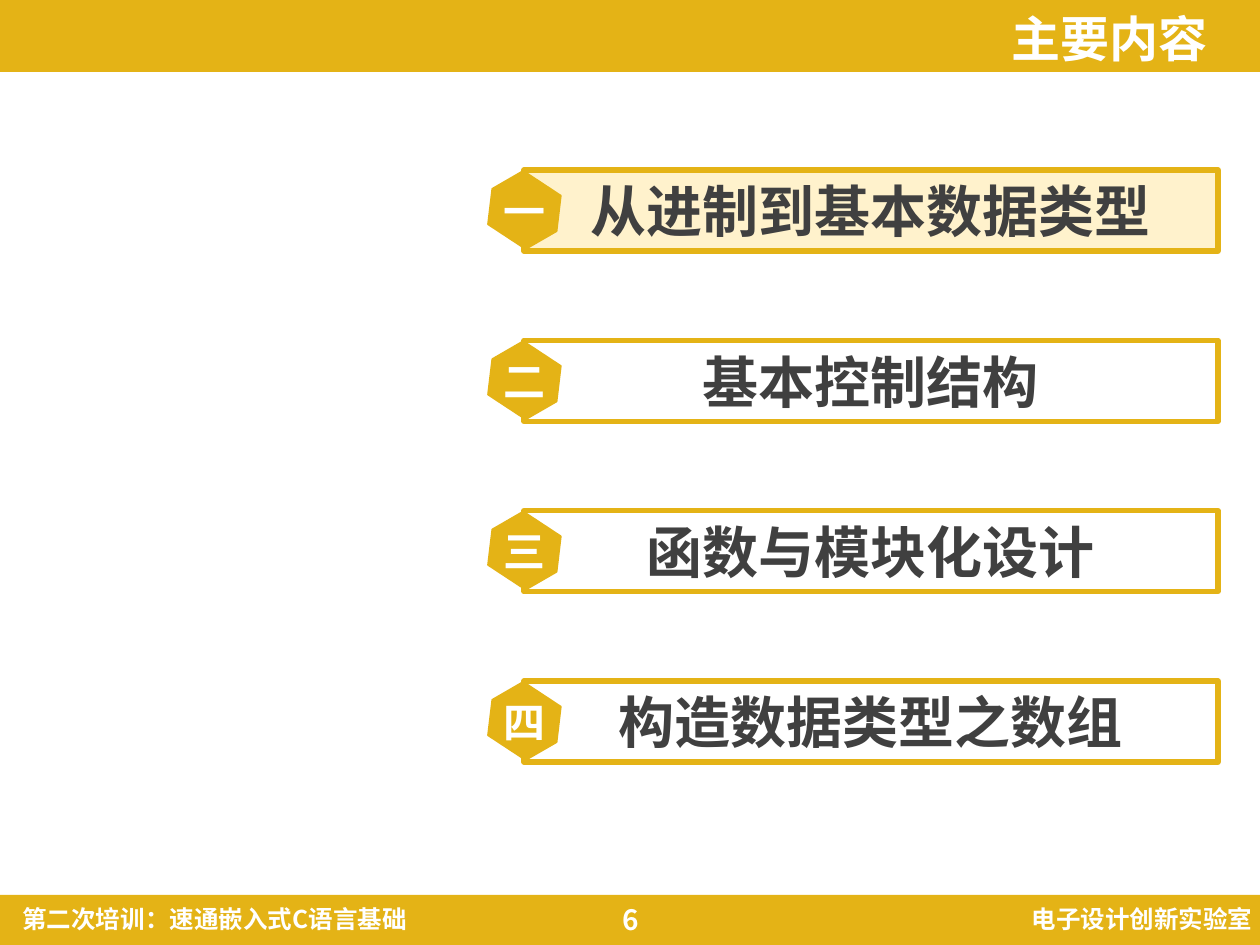
from lxml.etree import SubElement
from pptx import Presentation
from pptx.dml.color import RGBColor
from pptx.enum.shapes import MSO_SHAPE
from pptx.enum.text import MSO_ANCHOR, PP_ALIGN
from pptx.oxml.ns import qn
from pptx.util import Emu, Pt

COLORS = {"gold": "E4B316", "cream": "FFF2CC", "white": "FFFFFF", "dark": "404040"}
FONT = "Noto Sans CJK SC"
TOPICS = [
    ("一", "从进制到基本数据类型"),
    ("二", "基本控制结构"),
    ("三", "函数与模块化设计"),
    ("四", "构造数据类型之数组"),
]
CURRENT_TOPIC = 0
ROW_HEIGHT = 81


def px(length):
    return Emu(round(length * 914400 / 126))


def color(name):
    return RGBColor.from_string(COLORS[name])


def write(shape, text, size, color_name, align):
    frame = shape.text_frame
    frame.word_wrap = True
    frame.vertical_anchor = MSO_ANCHOR.MIDDLE
    frame.margin_top = frame.margin_bottom = 0
    paragraph = frame.paragraphs[0]
    paragraph.text = text
    paragraph.alignment = align
    font = paragraph.font
    font.name, font.size, font.bold = FONT, Pt(size), True
    font.color.rgb = color(color_name)
    # East Asian typeface, which python-pptx does not set
    SubElement(font._element, qn("a:ea"), typeface=FONT)


def add_text(shapes, left, top, width, height, text, size, align):
    box = shapes.add_textbox(px(left), px(top), px(width), px(height))
    write(box, text, size, "white", align)


def add_block(shapes, kind, left, top, width, height, fill, line_width=0):
    shape = shapes.add_shape(kind, px(left), px(top), px(width), px(height))
    shape.shadow.inherit = False
    if fill:
        shape.fill.solid()
        shape.fill.fore_color.rgb = color(fill)
    else:
        shape.fill.background()
    if line_width:
        shape.line.color.rgb = color("gold")
        shape.line.width = Pt(line_width)
    else:
        shape.line.fill.background()
    return shape


def add_header(slide, left, top, width, height):
    add_block(slide.shapes, MSO_SHAPE.RECTANGLE, left, top, width, height, "gold")
    add_text(slide.shapes, left + 553, top + 9, 667, 58, "主要内容", 28, PP_ALIGN.RIGHT)


def add_footer(slide, left, top, width, height):
    add_block(slide.shapes, MSO_SHAPE.RECTANGLE, left, top, width, height, "gold")
    labels = [
        (10, 503, "第二次培训：速通嵌入式C语言基础", 14, PP_ALIGN.LEFT),
        (553, 155, "6", 16, PP_ALIGN.CENTER),
        (869, 396, "电子设计创新实验室", 14, PP_ALIGN.RIGHT),
    ]
    for offset, label_width, text, size, align in labels:
        add_text(slide.shapes, left + offset, top, label_width, height - 2, text, size, align)


def add_topic(slide, left, top, width, number, title, current):
    shapes = slide.shapes.add_group_shape().shapes
    # Title bar
    bar = add_block(shapes, MSO_SHAPE.RECTANGLE, left + 38, top, width - 38, ROW_HEIGHT,
                    "cream" if current else None, 3)
    write(bar, title, 32, "dark", PP_ALIGN.CENTER)
    # Number badge
    badge = add_block(shapes, MSO_SHAPE.HEXAGON, left, top + 8, 77, 64, "gold", 1)
    badge.rotation = 33.4
    add_text(shapes, left + 5, top + 9, 59, 63, number, 24, PP_ALIGN.LEFT)


def add_agenda(slide, left, top, width, height):
    pitch = (height - ROW_HEIGHT) / (len(TOPICS) - 1)
    for index, (number, title) in enumerate(TOPICS):
        add_topic(slide, left, top + index * pitch, width, number, title,
                  index == CURRENT_TOPIC)


def main():
    presentation = Presentation()
    presentation.slide_width, presentation.slide_height = px(1260), px(945)
    slide = presentation.slides.add_slide(presentation.slide_layouts[6])
    add_header(slide, 0, 0, 1260, 72)
    add_footer(slide, 0, 895, 1260, 50)
    add_agenda(slide, 486, 170, 732, 592)
    presentation.save("out.pptx")


if __name__ == "__main__":
    main()
